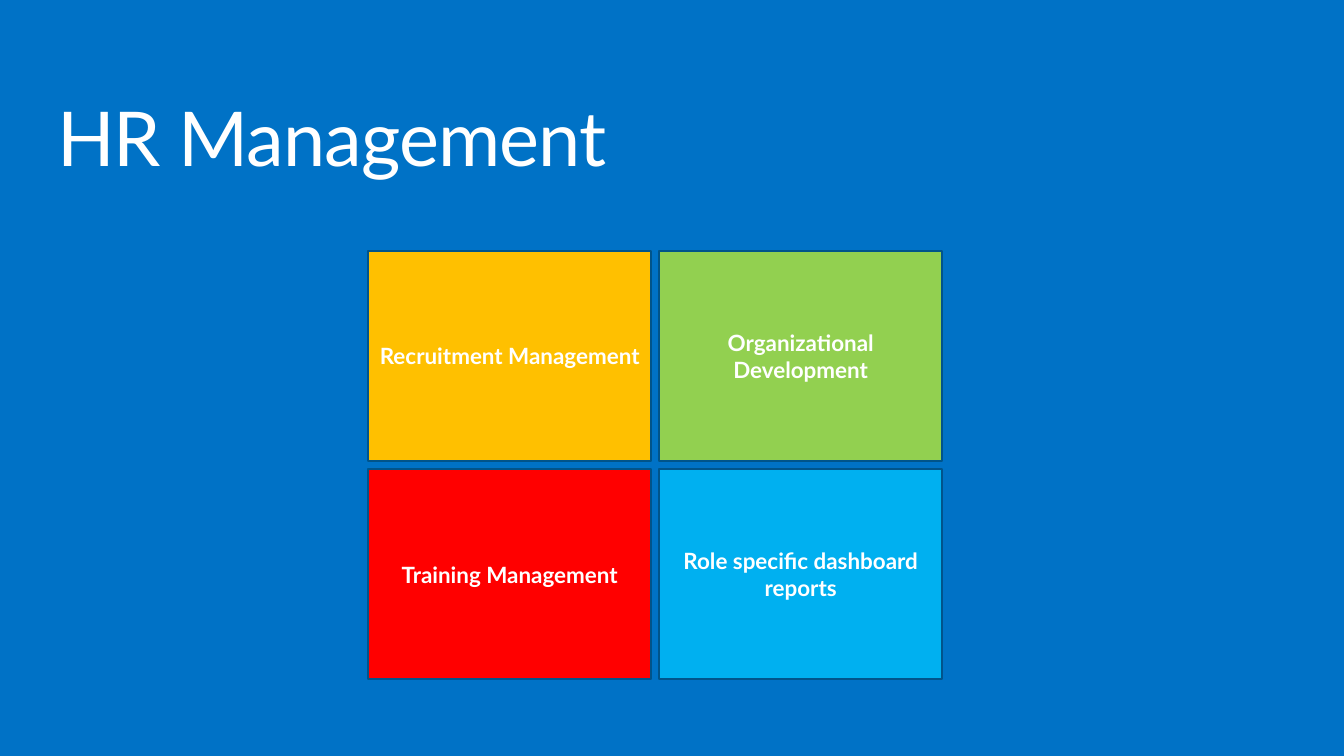
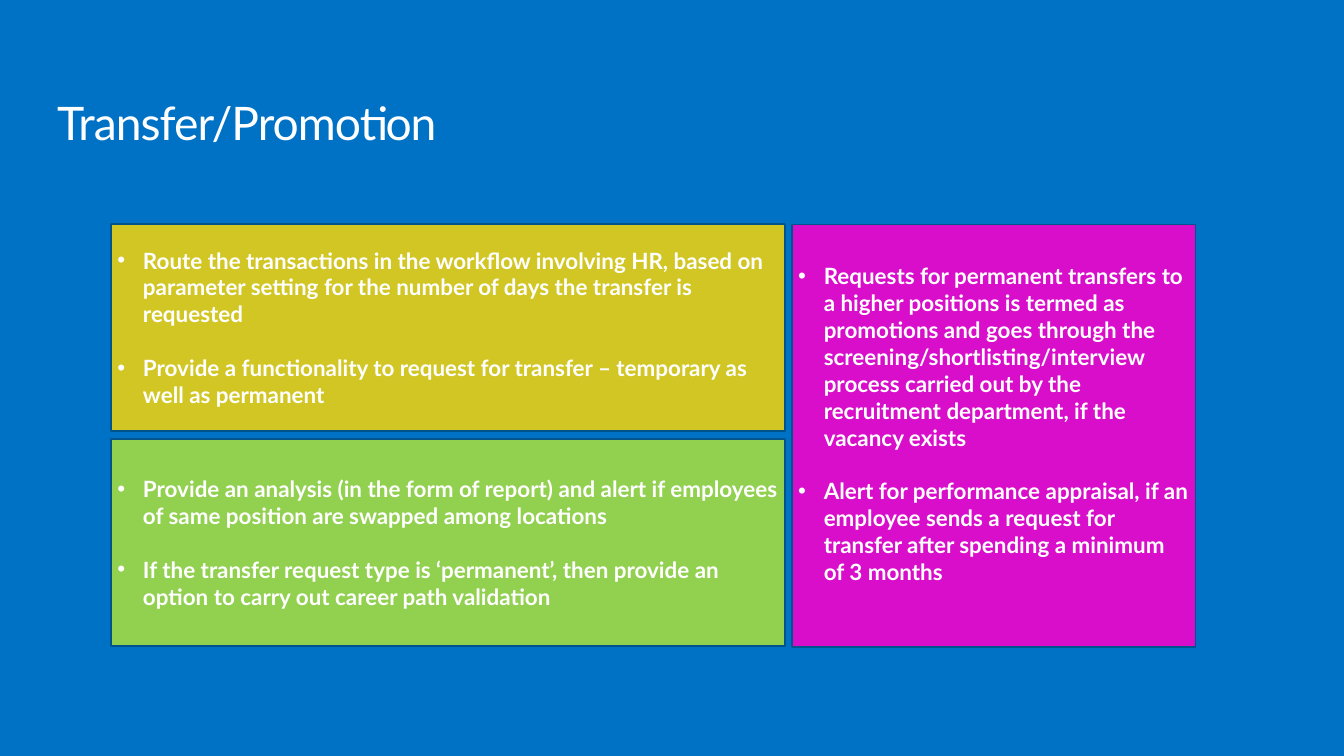
from lxml import etree
from pptx import Presentation
from pptx.dml.color import RGBColor
from pptx.enum import shapes, text
from pptx.oxml.ns import qn
from pptx.util import Inches, Pt

# Shared look
BACK, EDGE, WHITE = "0072C6", "00548B", "FFFFFF"
GREEN = "92D050"
FONT = "Lato"
GAP = 0.12
INDENT = 0.38
BODY = {"name": FONT, "size": Pt(24), "bold": True}

# Slide 1: module tiles, row by row
TILES = [
    ("Recruitment Management", "FFC000"),
    ("Organizational Development", GREEN),
    ("Training Management", "FF0000"),
    ("Role specific dashboard reports", "00B0F0"),
]

# Slide 2: rules for transfers and promotions
ROUTING = [
    "Route the transactions in the workflow involving HR, based on parameter "
    "setting for the number of days the transfer is requested",
    "Provide a functionality to request for transfer – temporary as well as "
    "permanent",
]
CHECKS = [
    "Provide an analysis (in the form of report) and alert if employees of "
    "same position are swapped among locations",
    "If the transfer request type is ‘permanent’, then provide an option to "
    "carry out career path validation",
]
REQUESTS = [
    "Requests for permanent transfers to a higher positions is termed as "
    "promotions and goes through the screening/shortlisting/interview process "
    "carried out by the recruitment department, if the vacancy exists",
    "Alert for performance appraisal, if an employee sends a request for "
    "transfer after spending a minimum of 3 months",
]


def color(value):
    return RGBColor.from_string(value)


def style(font, values):
    for name, value in values.items():
        setattr(font, name, value)
    font.color.rgb = color(WHITE)


def add_slide(prs, title, size, height):
    slide = prs.slides.add_slide(prs.slide_layouts[5])
    head = slide.shapes.title
    place = {"left": 0.85, "top": 1.5, "width": 18.29, "height": height}
    for name, value in place.items():
        setattr(head, name, Inches(value))
    frame = head.text_frame
    for side in ("left", "top", "right", "bottom"):
        setattr(frame, f"margin_{side}", 0)
    frame.vertical_anchor = text.MSO_ANCHOR.TOP
    frame.auto_size = text.MSO_AUTO_SIZE.SHAPE_TO_FIT_TEXT
    para = frame.paragraphs[0]
    para.alignment = text.PP_ALIGN.LEFT
    para.line_spacing = 0.9
    run = para.add_run()
    run.text = title
    style(run.font, {"name": FONT, "size": Pt(size), "bold": False})
    run.font._element.set("spc", "-100")
    return slide


def add_box(slide, left, top, width, height, fill):
    """Draw a filled panel and return its text frame."""
    box = slide.shapes.add_shape(
        shapes.MSO_SHAPE.RECTANGLE,
        *(Inches(value) for value in (left, top, width, height)))
    box.shadow.inherit = False
    box.fill.solid()
    box.fill.fore_color.rgb = color(fill)
    box.line.color.rgb = color(EDGE)
    box.line.width = Pt(2)
    frame = box.text_frame
    frame.word_wrap = True
    frame.vertical_anchor = text.MSO_ANCHOR.MIDDLE
    return frame


def add_label(frame, label):
    para = frame.paragraphs[0]
    para.text = label
    para.alignment = text.PP_ALIGN.CENTER
    style(para.font, BODY)


def add_bullets(frame, items):
    for i, item in enumerate(items):
        para = frame.add_paragraph() if i else frame.paragraphs[0]
        para.text = item
        para.alignment = text.PP_ALIGN.LEFT
        if i:
            para.space_before = Pt(28.8)
        props = para._p.get_or_add_pPr()
        props.set("marL", str(Inches(INDENT)))
        props.set("indent", str(-Inches(INDENT)))
        etree.SubElement(props, qn("a:buFont"), typeface="Arial")
        etree.SubElement(props, qn("a:buChar"), char="•")
        style(para.font, BODY)


def build_modules(prs):
    slide = add_slide(prs, "HR Management", 81, 1.23)
    width, height = 4.21, 3.13
    for i, (label, fill) in enumerate(TILES):
        row, col = divmod(i, 2)
        left = 5.48 + col * (width + GAP)
        top = 3.73 + row * (height + GAP)
        add_label(add_box(slide, left, top, width, height, fill), label)


def build_transfer(prs):
    slide = add_slide(prs, "Transfer/Promotion", 49.5, 0.75)
    left, top, width, height = 1.65, 3.33, 10.03, 3.08
    for row, (items, fill) in enumerate([(ROUTING, "D2C624"), (CHECKS, GREEN)]):
        y = top + row * (height + GAP)
        add_bullets(add_box(slide, left, y, width, height, fill), items)
    # Tall panel beside the two rows
    frame = add_box(slide, 11.78, 3.34, 6.01, 6.29, "D80ECA")
    frame.margin_bottom = Inches(0.41)
    add_bullets(frame, REQUESTS)


def main():
    prs = Presentation()
    prs.slide_width, prs.slide_height = Inches(20), Inches(11.25)
    back = prs.slide_master.background.fill
    back.solid()
    back.fore_color.rgb = color(BACK)
    build_modules(prs)
    build_transfer(prs)
    prs.save("out.pptx")


if __name__ == "__main__":
    main()
